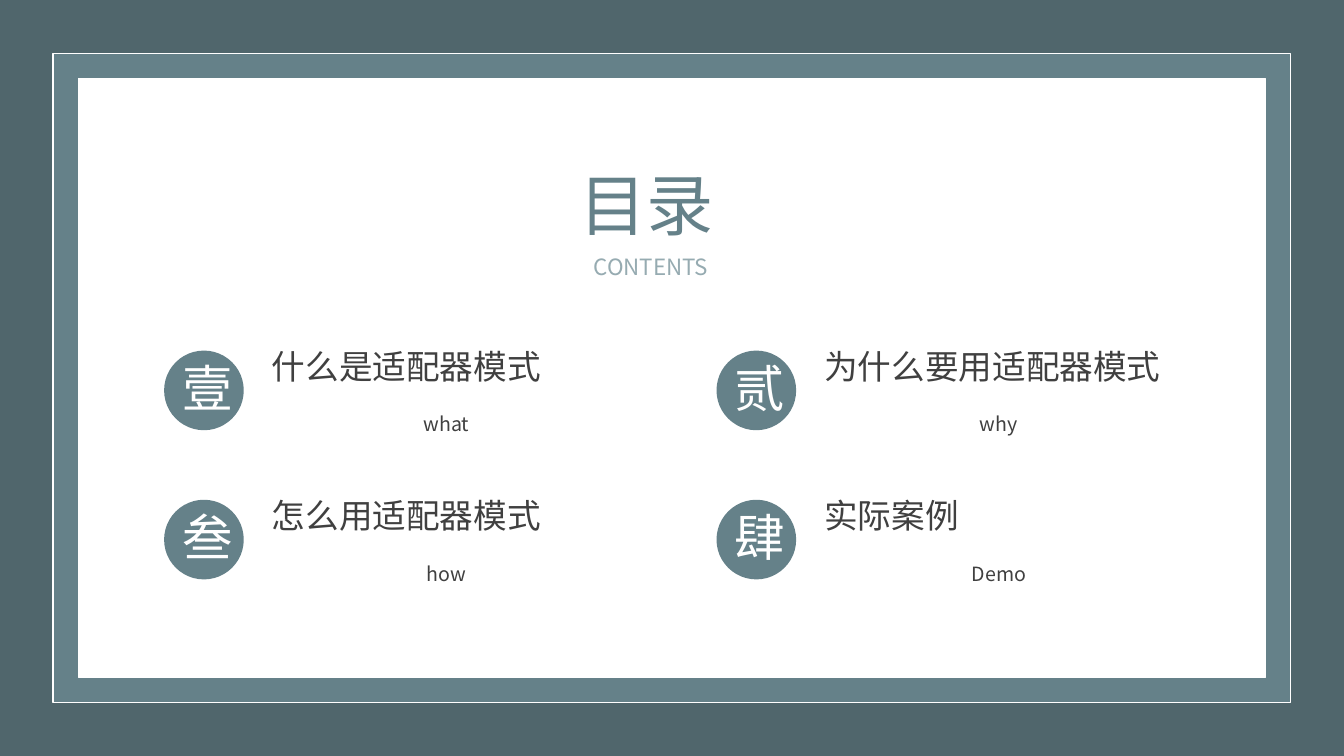
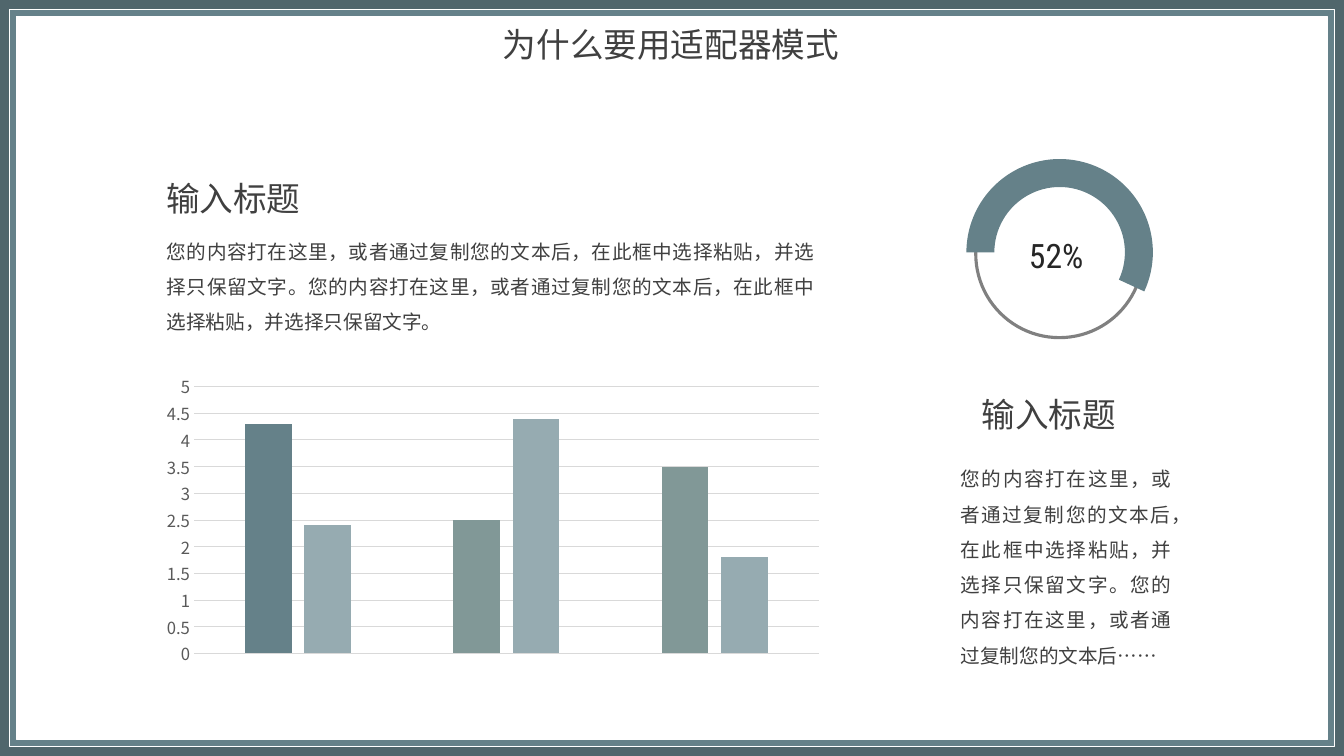
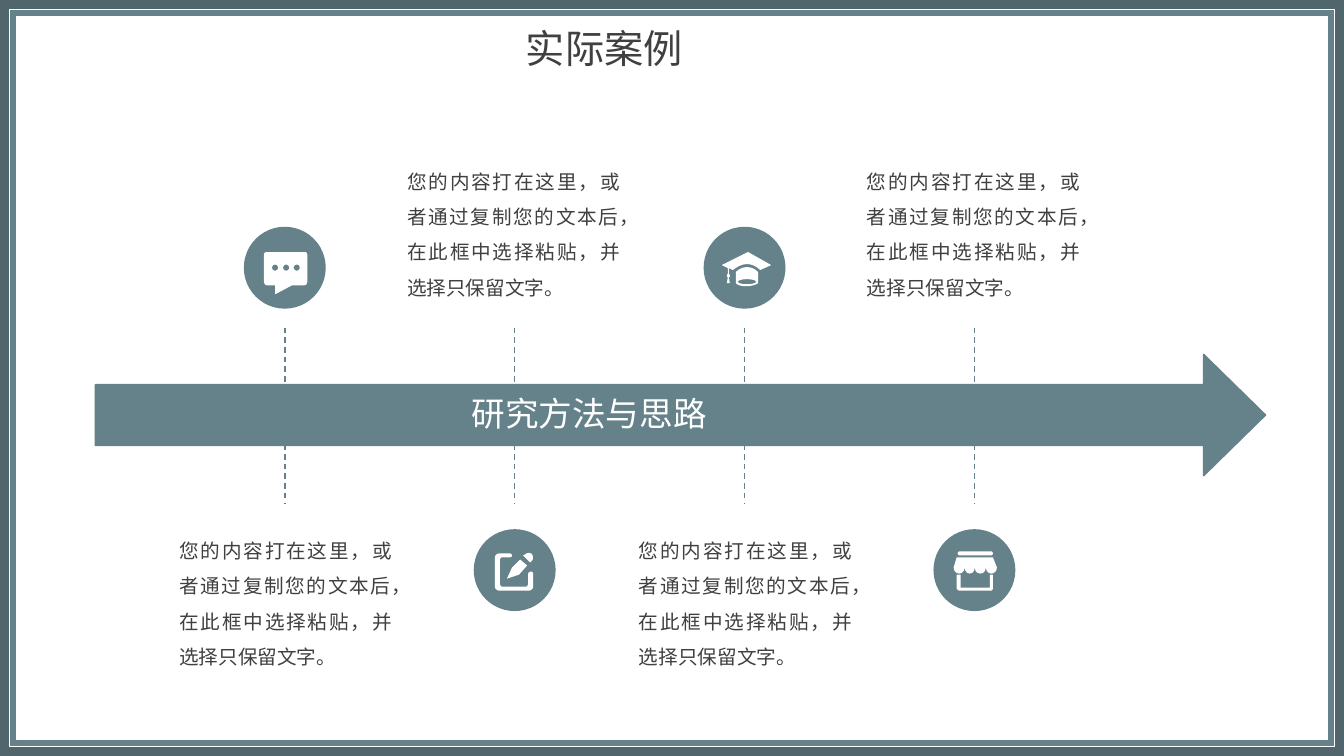
"""Build three slides on the adapter pattern: contents, reasons and a worked case."""
import math

from lxml import etree
from pptx import Presentation
from pptx.chart.data import CategoryChartData
from pptx.dml.color import RGBColor
from pptx.enum.chart import XL_CHART_TYPE, XL_TICK_MARK
from pptx.enum.dml import MSO_LINE
from pptx.enum.shapes import MSO_CONNECTOR, MSO_SHAPE
from pptx.enum.text import PP_ALIGN
from pptx.oxml.ns import qn
from pptx.util import Pt

CENTER, JUSTIFY = PP_ALIGN.CENTER, PP_ALIGN.JUSTIFY
RECTANGLE, OVAL = MSO_SHAPE.RECTANGLE, MSO_SHAPE.OVAL
BLOCK_ARC, RIGHT_ARROW = MSO_SHAPE.BLOCK_ARC, MSO_SHAPE.RIGHT_ARROW
COLUMNS, NO_TICK = XL_CHART_TYPE.COLUMN_CLUSTERED, XL_TICK_MARK.NONE
STRAIGHT, DASH = MSO_CONNECTOR.STRAIGHT, MSO_LINE.DASH

DARK = RGBColor(0x50, 0x66, 0x6C)
TEAL = RGBColor(0x65, 0x81, 0x89)
SAGE = RGBColor(0x81, 0x98, 0x97)
MIST = RGBColor(0x96, 0xAB, 0xB1)
WHITE = RGBColor(0xFF, 0xFF, 0xFF)
INK = RGBColor(0x40, 0x40, 0x40)
BLACK = RGBColor(0x26, 0x26, 0x26)
AXIS_GRAY = RGBColor(0x59, 0x59, 0x59)
RING_GRAY = RGBColor(0x80, 0x80, 0x80)
GRID_GRAY = RGBColor(0xD9, 0xD9, 0xD9)
FONT, NUMBER_FONT = "Noto Sans CJK SC", "Roboto Condensed"
WIDTH, HEIGHT = 960, 540
WIDE_FRAME, THIN_FRAME = (38, 56.2), (6.9, 11.8)

CONTENTS = [
    ("壹", "什么是适配器模式", "what"),
    ("贰", "为什么要用适配器模式", "why"),
    ("叁", "怎么用适配器模式", "how"),
    ("肆", "实际案例", "Demo"),
]
HEADING = "输入标题"
SENTENCE = "您的内容打在这里，或者通过复制您的文本后，在此框中选择粘贴，并选择只保留文字。"
CUT_SENTENCE = "您的内容打在这里，或者通过复制您的文本后……"
SERIES = [
    ("Series 1", (4.3, 2.5, 3.5), SAGE),
    ("Series 2", (2.4, 4.4, 1.8), MIST),
]


def ellipse_outline(center_x, center_y, radius_x, radius_y):
    """Return the points of an ellipse."""
    angles = [math.tau * step / 24 for step in range(24)]
    return [(center_x + radius_x * math.cos(angle), center_y + radius_y * math.sin(angle))
            for angle in angles]


ICON_UNIT = 0.72
SCALLOPS = [20, 31, 41, 52, 63]
SPEECH = [
    [(60, 25), (23, 25), (21, 25, 20, 26, 20, 28), (20, 54), (20, 56, 21, 58, 23, 58),
     (31, 58), (31, 67), (48, 58), (60, 58), (62, 58, 63, 56, 63, 54), (63, 28),
     (63, 26, 62, 25, 60, 25)],
    *[ellipse_outline(center, 40.5, 3, 3) for center in (31, 42, 52.5)],
]
PENCIL = [
    [(58, 31), (56, 33), (49, 26), (51, 25), (53, 23, 56, 23, 58, 25),
     (59, 27, 59, 30, 58, 31)],
    [(53, 36), (45, 45), (33, 49), (38, 38), (46, 30)],
    [(35, 28), (28, 28), (27, 28, 26, 29, 26, 31), (26, 54), (26, 55, 27, 57, 28, 57),
     (52, 57), (53, 57, 54, 55, 54, 54), (54, 45), (54, 43, 55, 42, 57, 42),
     (58, 42, 59, 43, 59, 45), (59, 57), (59, 59, 57, 61, 54, 61), (26, 61),
     (23, 61, 21, 59, 21, 57), (21, 28), (21, 26, 23, 24, 26, 24), (35, 24),
     (37, 24, 38, 25, 38, 26), (38, 27, 37, 28, 35, 28)],
]
GRADUATION_CAP = [
    [(56, 43), (56, 43, 51, 37, 43, 37), (36, 37, 29, 43, 29, 43), (25, 41), (25, 47),
     (26, 47, 26, 48, 26, 49), (26, 50, 26, 50, 25, 50), (26, 56), (23, 56), (24, 50),
     (23, 50, 23, 49, 23, 49), (23, 48, 23, 47, 24, 47), (24, 41), (18, 38), (44, 25),
     (67, 38)],
    [(43, 40), (50, 40, 54, 45, 54, 45), (54, 56), (54, 56, 50, 59, 42, 59),
     (34, 59, 32, 56, 32, 56), (32, 45), (32, 45, 36, 40, 43, 40)],
    ellipse_outline(43, 54.5, 9, 2.5),
]
SHOP = [
    [(59, 28), (23, 28), (20, 38),
     *[(left, 46, right, 46, right, 38) for left, right in zip(SCALLOPS, SCALLOPS[1:])]],
    [(56, 45), (56, 58), (27, 58), (27, 45), (23, 45), (23, 58), (23, 60, 25, 61, 26, 61),
     (57, 61), (58, 61, 59, 60, 59, 58), (59, 45)],
    [(26, 26), (57, 26), (58, 26, 59, 25, 59, 24), (59, 23, 58, 22, 57, 22), (26, 22),
     (25, 22, 24, 23, 24, 24), (24, 25, 25, 26, 26, 26)],
]
STEP_ICONS = [SPEECH, PENCIL, GRADUATION_CAP, SHOP]


def paint(shape, fill=None, line=None, weight=1):
    """Set the fill and outline of a shape and drop its shadow."""
    shape.shadow.inherit = False
    if fill is None:
        shape.fill.background()
    else:
        shape.fill.solid()
        shape.fill.fore_color.rgb = fill
    if line is None:
        shape.line.fill.background()
    else:
        shape.line.color.rgb = line
        shape.line.width = Pt(weight)


def add_figure(slide, kind, left, top, width, height, adjustments=(), **colors):
    """Add a painted preset shape."""
    shape = slide.shapes.add_shape(kind, Pt(left), Pt(top), Pt(width), Pt(height))
    for index, value in enumerate(adjustments):
        shape.adjustments[index] = value
    paint(shape, **colors)


def add_text(slide, text, left, top, width, height, size=24, color=INK, font=FONT,
             align=JUSTIFY, spacing=None):
    """Add a wrapped text box holding one paragraph."""
    box = slide.shapes.add_textbox(Pt(left), Pt(top), Pt(width), Pt(height))
    box.text_frame.word_wrap = True
    para = box.text_frame.paragraphs[0]
    para.alignment = align
    para.line_spacing = spacing
    span = para.add_run()
    span.text = text
    span.font.size = Pt(size)
    span.font.color.rgb = color
    span.font.name = font
    etree.SubElement(span.font._element, qn("a:ea")).set("typeface", font)


def add_body(slide, text, left, top, width, height):
    """Add a small paragraph with open line spacing."""
    add_text(slide, text, left, top, width, height, size=14, spacing=1.5)


def add_page(deck, insets):
    """Add a blank slide with the dark border and two nested panels."""
    slide = deck.slides.add_slide(deck.slide_layouts[6])
    add_figure(slide, RECTANGLE, 0, 0, WIDTH, HEIGHT, fill=DARK)
    for inset, fill in zip(insets, (TEAL, WHITE)):
        add_figure(slide, RECTANGLE, inset, inset, WIDTH - 2 * inset, HEIGHT - 2 * inset,
                   fill=fill, line=WHITE)
    return slide


def flatten(outline):
    """Turn line and curve segments into plain points."""
    points = []
    for segment in outline:
        if len(segment) == 2:
            points.append(segment)
            continue
        start, controls = points[-1], (segment[:2], segment[2:4], segment[4:])
        for part in range(1, 7):
            t = part / 6
            weights = ((1 - t) ** 3, 3 * t * (1 - t) ** 2, 3 * t * t * (1 - t), t ** 3)
            points.append(tuple(
                sum(weight * point[axis] for weight, point in zip(weights, (start, *controls)))
                for axis in (0, 1)))
    return points


def add_icon(slide, outlines, left, top):
    """Draw a white icon whose outlines are measured from a circle's corner."""
    contours = [[(Pt(left + x * ICON_UNIT), Pt(top + y * ICON_UNIT))
                 for x, y in flatten(outline)] for outline in outlines]
    builder = slide.shapes.build_freeform(*contours[0][0], scale=1.0)
    builder.add_line_segments(contours[0][1:])
    for contour in contours[1:]:
        builder.move_to(*contour[0])
        builder.add_line_segments(contour[1:])
    paint(builder.convert_to_shape(), fill=WHITE)


def add_dashed_line(slide, x, top, bottom):
    """Add a vertical dashed line."""
    line = slide.shapes.add_connector(STRAIGHT, Pt(x), Pt(top), Pt(x), Pt(bottom))
    line.line.color.rgb = TEAL
    line.line.width = Pt(1)
    line.line.dash_style = DASH
    etree.SubElement(line._element.spPr, qn("a:effectLst"))


def add_column_chart(slide, left, top, width, height):
    """Add the column chart with only a value axis."""
    data = CategoryChartData()
    data.categories = ["1", "2", "3"]
    for name, values, _ in SERIES:
        data.add_series(name, values)
    chart = slide.shapes.add_chart(COLUMNS, Pt(left), Pt(top), Pt(width), Pt(height), data).chart
    chart.has_title = chart.has_legend = False
    chart.font.name = FONT
    chart.font.size = Pt(10)
    chart.category_axis.visible = False
    axis = chart.value_axis
    axis.minimum_scale, axis.maximum_scale, axis.major_unit = 0, 5, 0.5
    axis.major_tick_mark = axis.minor_tick_mark = NO_TICK
    axis.format.line.fill.background()
    axis.major_gridlines.format.line.color.rgb = GRID_GRAY
    axis.major_gridlines.format.line.width = Pt(0.75)
    axis.tick_labels.font.size = Pt(11.9)
    axis.tick_labels.font.name = FONT
    axis.tick_labels.font.color.rgb = AXIS_GRAY
    plot = chart.plots[0]
    plot.gap_width, plot.overlap, plot.vary_by_categories = 219, -27, False
    for series, (_, _, color) in zip(plot.series, SERIES):
        series.format.fill.solid()
        series.format.fill.fore_color.rgb = color
    first_column = plot.series[0].points[0].format.fill
    first_column.solid()
    first_column.fore_color.rgb = TEAL


def build_contents(deck):
    """Build the contents slide as a grid of two by two entries."""
    slide = add_page(deck, WIDE_FRAME)
    add_text(slide, "目录", 406.8, 113, 142, 65.5, size=48, color=TEAL)
    add_text(slide, "CONTENTS", 416.9, 177.1, 121.7, 26.6, size=16, color=MIST)
    for index, (number, title, subtitle) in enumerate(CONTENTS):
        row, column = divmod(index, 2)
        left, top = 117.2 + column * 394.6, 250.4 + row * 106.6
        add_figure(slide, OVAL, left, top, 56.9, 56.9, fill=TEAL)
        add_text(slide, number, left + 5.9, top + 0.9, 46, 51, size=36, color=WHITE, align=CENTER)
        add_text(slide, title, left + 70, top - 7.2, 268, 36)
        add_text(slide, subtitle, left + 71.4, top + 40.5, 260.6, 24.5, size=14, align=CENTER)


def build_reasons(deck):
    """Build the slide with the column chart and the percentage ring."""
    slide = add_page(deck, THIN_FRAME)
    add_column_chart(slide, 109.4, 262.8, 485.3, 217.4)
    add_body(slide, SENTENCE * 2, 112, 159.1, 476.6, 80.6)
    add_text(slide, HEADING, 111.6, 123.8, 136.8, 36)
    add_figure(slide, OVAL, 697, 121.7, 119.5, 119.5, line=RING_GRAY, weight=2.25)
    add_figure(slide, BLOCK_ARC, 690.3, 113.6, 133.2, 133.2, (108, 14.88, 0.15), fill=TEAL)
    add_text(slide, "52%", 727.9, 164.2, 57.6, 36, color=BLACK, font=NUMBER_FONT)
    add_body(slide, SENTENCE + CUT_SENTENCE, 679, 321.8, 164.9, 157)
    add_text(slide, HEADING, 694.1, 277.9, 126, 36)
    add_text(slide, CONTENTS[1][1], 352.1, 13.7, 257.8, 36)


def build_case(deck):
    """Build the case slide with four steps alternating around an arrow."""
    slide = add_page(deck, THIN_FRAME)
    add_text(slide, CONTENTS[3][1], 368.6, 13.7, 222.5, 41, size=28)
    add_figure(slide, RIGHT_ARROW, 68.1, 253.1, 835.9, 86.7, (0.5, 0.51), fill=TEAL, line=TEAL)
    diameter = 58.5
    for index, outlines in enumerate(STEP_ICONS):
        left = 174.2 + index * 164.2
        top, text_left, text_top = [(162, left - 53.3, 373), (378, left - 54.7, 109.4)][index % 2]
        add_figure(slide, OVAL, left, top, diameter, diameter, fill=TEAL)
        add_icon(slide, outlines, left, top)
        add_dashed_line(slide, left + diameter / 2, 234, 359.3)
        add_body(slide, SENTENCE, text_left, text_top, 166.3, 105.8)
    add_text(slide, "研究方法与思路", 329.8, 277.2, 240.5, 36, color=WHITE)


def main():
    """Build and save the deck."""
    deck = Presentation()
    deck.slide_width, deck.slide_height = Pt(WIDTH), Pt(HEIGHT)
    build_contents(deck)
    build_reasons(deck)
    build_case(deck)
    deck.save("out.pptx")


if __name__ == "__main__":
    main()
